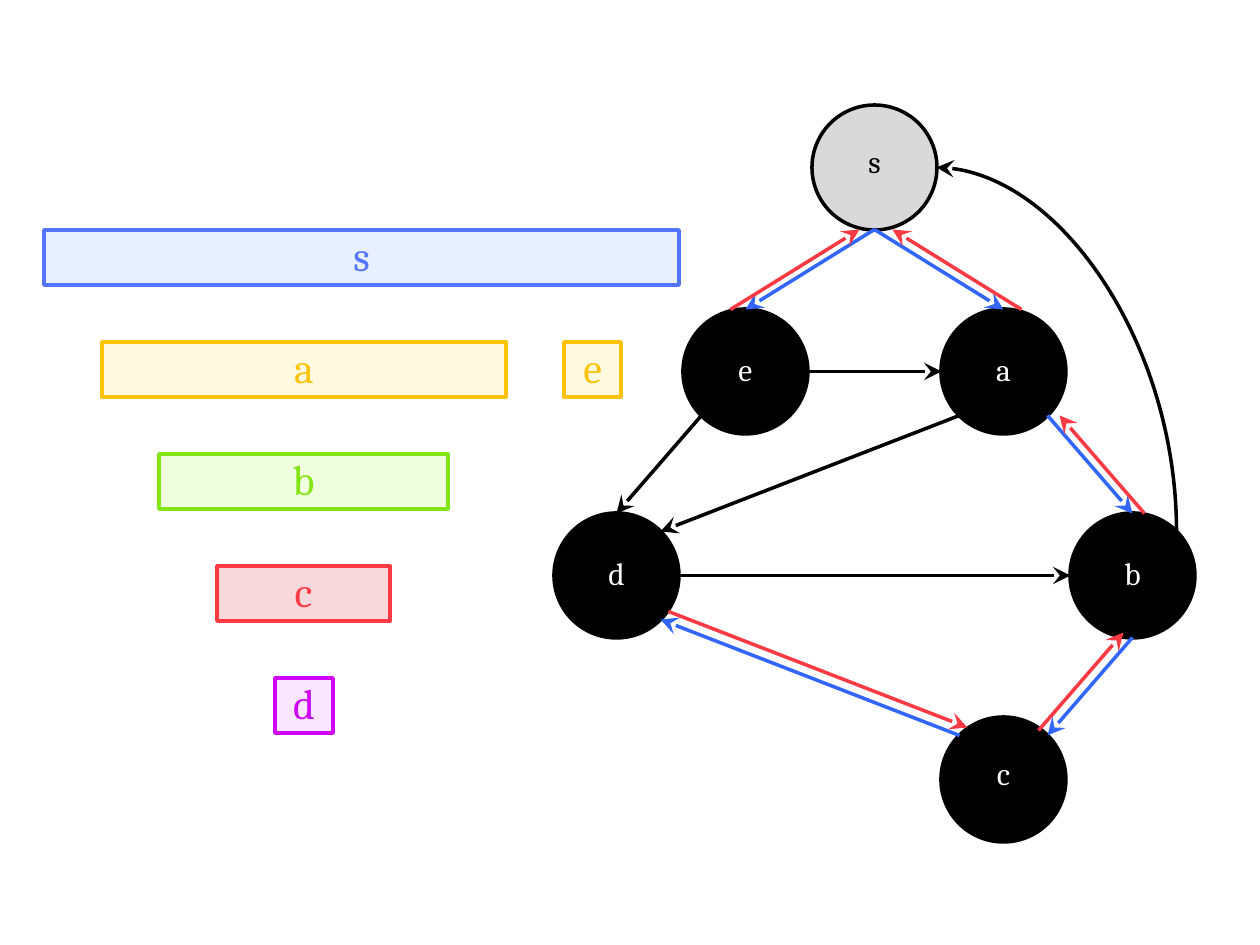
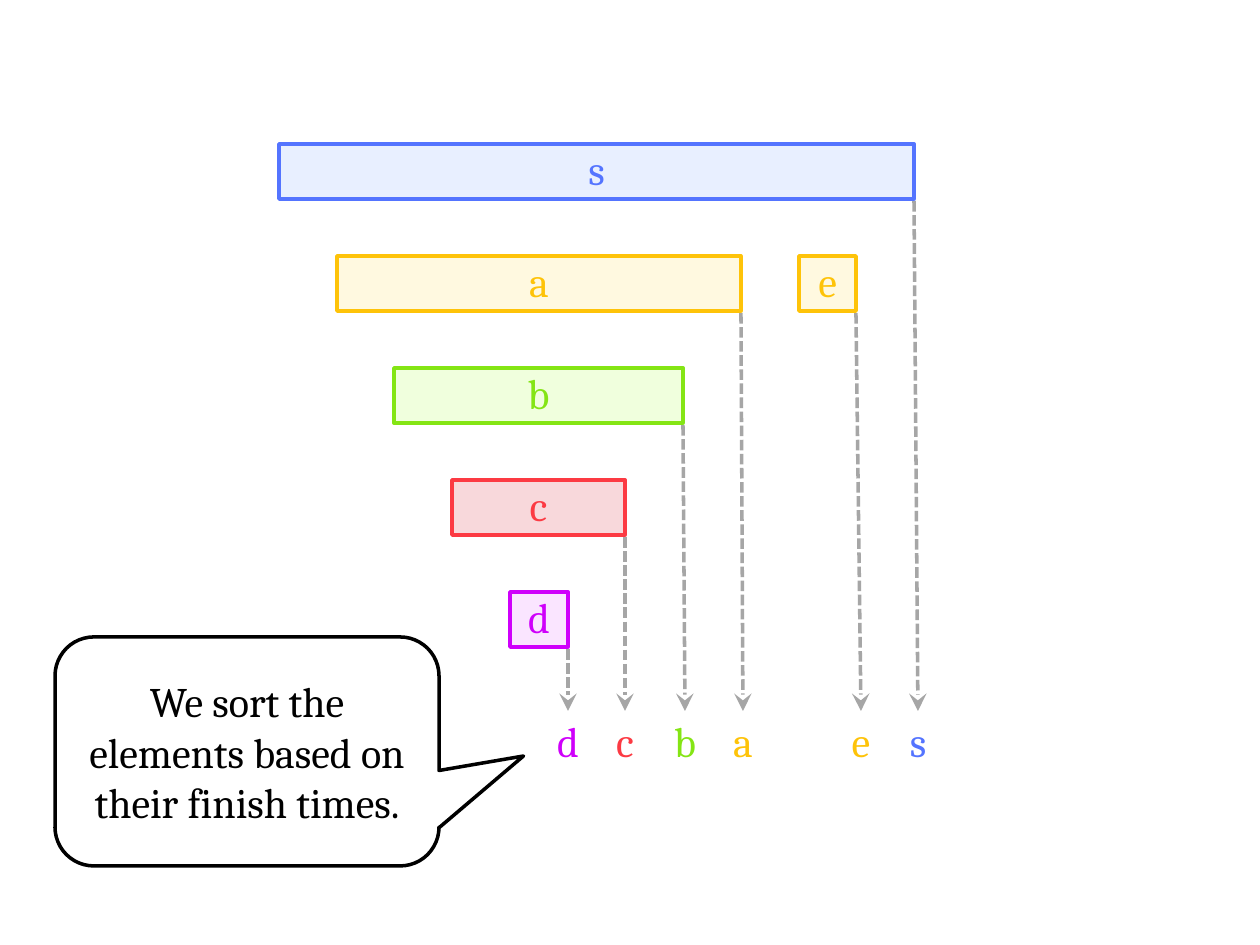
from lxml.etree import SubElement
from pptx import Presentation
from pptx.dml.color import RGBColor
from pptx.enum.dml import MSO_LINE
from pptx.enum.shapes import MSO_CONNECTOR, MSO_SHAPE
from pptx.enum.text import MSO_ANCHOR, PP_ALIGN
from pptx.oxml.ns import qn
from pptx.util import Emu, Pt

FONT = "Cambria"
COLORS = {
    "ink": "000000", "paper": "FFFFFF", "root": "D9D9D9", "guide": "A6A6A6",
    "forward": "3366FF", "back": "FC3A43",
}
DEPTH_COLORS = [
    {"line": "5474FF", "fill": "E8EFFF"},
    {"line": "FEC309", "fill": "FFF9E0"},
    {"line": "84E514", "fill": "F0FFDD"},
    {"line": "FC3A43", "fill": "F8D8DB"},
    {"line": "CF00FB", "fill": "FAE5FF"},
]

VISITS = {
    "s": (0, 11, 0), "a": (1, 8, 1), "b": (2, 7, 2),
    "c": (3, 6, 3), "d": (4, 5, 4), "e": (9, 10, 1),
}
TIMELINE_WIDTH, LAST_TIME = 635, 11
BAR_HEIGHT, BAR_STEP = 55, 112
FINISH_DRIFT = {"d": 0, "c": 0, "b": 2, "a": 2, "e": 5, "s": 4}

NODE_GRID = {"s": (2, 0), "e": (1, 1), "a": (3, 1), "d": (0, 2), "b": (4, 2), "c": (3, 3)}
NODE_SIZE, COLUMN_STEP, ROW_STEP = 125, 129, 204
RIM = {
    "top": (0, -62), "bottom": (0, 62), "left": (-62, 0), "right": (62, 0),
    "top left": (-44, -44), "top right": (44, -44),
    "bottom left": (-44, 44), "bottom right": (44, 44),
}
CROSS_EDGES = [
    ("e", "bottom left", "d", "top"),
    ("d", "right", "b", "left"),
    ("e", "right", "a", "left"),
    ("a", "bottom left", "d", "top right"),
]
TREE_EDGES = [
    ("s", "bottom", "a", "top", (18, 0)),
    ("s", "bottom", "e", "top", (-15, 0)),
    ("a", "bottom right", "b", "top", (12, 0)),
    ("b", "bottom", "c", "top right", (-9, -5)),
    ("c", "top left", "d", "bottom right", (8, -8)),
]


def px(length):
    """Turn pixels into EMU."""
    return Emu(round(length * 914400 / 126))


def rgb(code):
    """Return a colour for a hex string."""
    return RGBColor.from_string(code)


def write(shape, text, size, color, insets=(13, 6, 13, 6)):
    """Put one centred run into a shape."""
    frame = shape.text_frame
    frame.word_wrap = True
    frame.vertical_anchor = MSO_ANCHOR.MIDDLE
    frame.margin_left, frame.margin_top, frame.margin_right, frame.margin_bottom = map(px, insets)
    paragraph = frame.paragraphs[0]
    paragraph.alignment = PP_ALIGN.CENTER
    run = paragraph.add_run()
    run.text = text
    run.font.name = FONT
    run.font.size = Pt(size)
    run.font.color.rgb = rgb(color)


def outlined(slide, kind, box, fill, line):
    """Add a filled shape with a two-point outline."""
    shape = slide.shapes.add_shape(kind, *map(px, box))
    shape.shadow.inherit = False
    shape.fill.solid()
    shape.fill.fore_color.rgb = rgb(fill)
    shape.line.color.rgb = rgb(line)
    shape.line.width = Pt(2)
    return shape


def arrow(slide, start, end, color, kind=MSO_CONNECTOR.STRAIGHT, dash=None):
    """Add a connector with a stealth head at its end."""
    connector = slide.shapes.add_connector(kind, *map(px, (*start, *end)))
    connector.line.color.rgb = rgb(color)
    connector.line.width = Pt(2)
    if dash:
        connector.line.dash_style = dash
    properties = connector._element.spPr
    head = SubElement(properties.find(qn("a:ln")), qn("a:tailEnd"))
    for key, value in (("type", "stealth"), ("w", "lg"), ("len", "lg")):
        head.set(key, value)
    SubElement(properties, qn("a:effectLst"))
    return connector


def quarter_curve(slide, start, end, color):
    """Add an arrow that rises from start and bends left into end."""
    middle_x, middle_y = (start[0] + end[0]) / 2, (start[1] + end[1]) / 2
    half_run, half_rise = (start[0] - end[0]) / 2, (start[1] - end[1]) / 2
    curve = arrow(
        slide, (middle_x - half_rise, middle_y + half_run),
        (middle_x + half_rise, middle_y - half_run), color, MSO_CONNECTOR.CURVE,
    )
    properties = curve._element.spPr
    properties.find(qn("a:prstGeom")).set("prst", "curvedConnector2")
    properties.find(qn("a:xfrm")).set("rot", str(270 * 60000))


def graph(slide, left, top):
    """Draw the directed graph with its tree edges and return paths."""
    def rim(name, side, shift=(0, 0)):
        """Return a point on the rim of a node."""
        column, row = NODE_GRID[name]
        return (left + column * COLUMN_STEP + NODE_SIZE / 2 + RIM[side][0] + shift[0],
                top + row * ROW_STEP + NODE_SIZE / 2 + RIM[side][1] + shift[1])

    for name, (column, row) in NODE_GRID.items():
        fill, ink = ("root", "ink") if name == "s" else ("ink", "paper")
        box = (left + column * COLUMN_STEP, top + row * ROW_STEP, NODE_SIZE, NODE_SIZE)
        node = outlined(slide, MSO_SHAPE.OVAL, box, COLORS[fill], COLORS["ink"])
        write(node, name, 18, COLORS[ink], (0, 0, 0, 13 if name in "sc" else 6))
    for source, source_side, target, target_side in CROSS_EDGES:
        arrow(slide, rim(source, source_side), rim(target, target_side), COLORS["ink"])
    quarter_curve(slide, rim("b", "top right"), rim("s", "right"), COLORS["ink"])
    for parent, parent_side, child, child_side, shift in TREE_EDGES:
        arrow(slide, rim(parent, parent_side), rim(child, child_side), COLORS["forward"])
        arrow(slide, rim(child, child_side, shift), rim(parent, parent_side, shift),
              COLORS["back"])


def time_x(left, time):
    """Return the horizontal place of a time on the timeline."""
    return left + round(time * TIMELINE_WIDTH / LAST_TIME)


def timeline(slide, left, top):
    """Draw one bar from start to finish for each visited node."""
    for name, (start, finish, depth) in VISITS.items():
        bar_left = time_x(left, start)
        box = (bar_left, top + depth * BAR_STEP, time_x(left, finish) - bar_left, BAR_HEIGHT)
        palette = DEPTH_COLORS[depth]
        bar = outlined(slide, MSO_SHAPE.RECTANGLE, box, palette["fill"], palette["line"])
        write(bar, name, 24, palette["line"], (13, 0, 13, 6))


def finish_order(slide, left, top):
    """Drop a dashed guide from each bar's finish to its letter."""
    tip_y, label_y, label_width = top + 567, top + 572, 58
    for name, drift in FINISH_DRIFT.items():
        _, finish, depth = VISITS[name]
        finish_x = time_x(left, finish)
        bar_bottom = top + depth * BAR_STEP + BAR_HEIGHT + 2
        arrow(slide, (finish_x, bar_bottom), (finish_x + drift, tip_y),
              COLORS["guide"], dash=MSO_LINE.SQUARE_DOT)
        label = slide.shapes.add_textbox(*map(px, (
            finish_x + drift - label_width / 2, label_y, label_width, BAR_HEIGHT)))
        write(label, name, 24, DEPTH_COLORS[depth]["line"], (13, 0, 13, 6))


def callout(slide, left, top):
    """Add the speech bubble that points at the sorted letters."""
    bubble = outlined(slide, MSO_SHAPE.ROUNDED_RECTANGULAR_CALLOUT, (left, top, 384, 229),
                      COLORS["paper"], COLORS["ink"])
    for index, value in enumerate((0.72, 0.02, 0.17)):
        bubble.adjustments[index] = value
    write(bubble, "We sort the elements based on their finish times.", 24, COLORS["ink"])


def graph_slide(slide):
    """Show the timeline beside the graph."""
    graph(slide, 554, 105)
    timeline(slide, 44, 230)


def order_slide(slide):
    """Show the timeline above the finish order."""
    finish_order(slide, 279, 144)
    timeline(slide, 279, 144)
    callout(slide, 55, 637)


def main():
    """Build and save the slides."""
    presentation = Presentation()
    presentation.slide_width, presentation.slide_height = px(1260), px(945)
    blank = presentation.slide_layouts[6]
    for build in (graph_slide, order_slide):
        build(presentation.slides.add_slide(blank))
    presentation.save("out.pptx")


if __name__ == "__main__":
    main()
